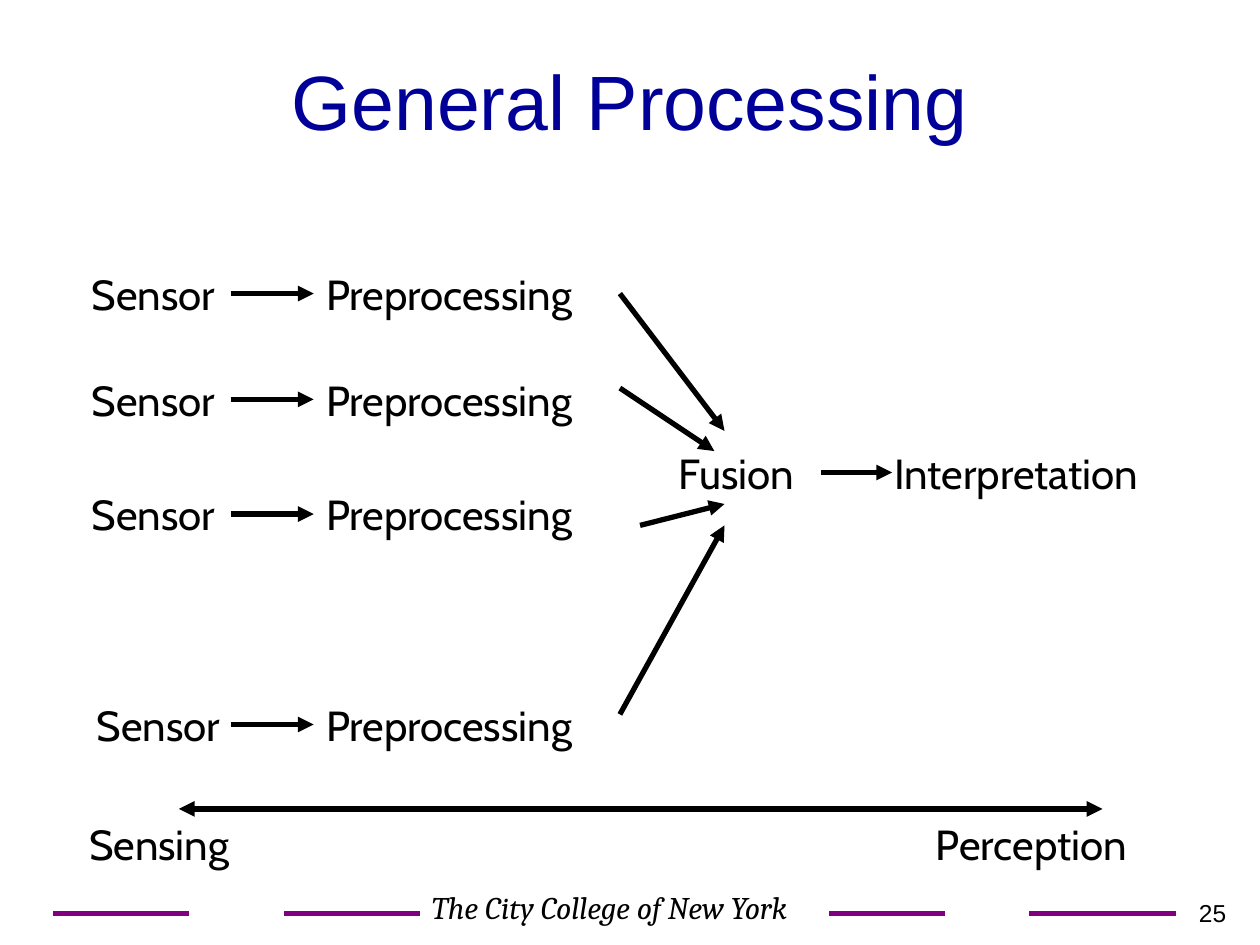
from dataclasses import dataclass
from typing import Optional

import pptx
import pptx.dml.color
import pptx.enum.shapes
import pptx.enum.text
import pptx.oxml
import pptx.oxml.ns
import pptx.util
from pptx.util import Inches

BLACK = "000000"
PURPLE = "800080"
NAVY = "000099"
LABEL_HEIGHT = 0.5
LEFT_SIDE, RIGHT_SIDE = 1, 3


@dataclass
class Label:
    text: str
    left: float
    top: float
    width: float
    height: float = LABEL_HEIGHT
    font: str = "Cabin"
    size: int = 24
    italic: bool = False
    wrap: bool = False
    space_before: float = 0
    align: str = "LEFT"


@dataclass
class Line:
    start: tuple[float, float]
    end: tuple[float, float]
    color: str = BLACK
    head: bool = False
    tail: bool = True


@dataclass
class Channel:
    top: float
    sensor_left: float
    sensor_width: float
    fusion_start: tuple[float, float]
    fusion_end: tuple[float, float]


CHANNELS = [
    Channel(2.08, 0.63, 1.27, (4.92, 2.33), (5.75, 3.42)),
    Channel(2.92, 0.63, 1.27, (4.92, 3.08), (5.67, 3.58)),
    Channel(3.83, 0.63, 1.27, (5.08, 4.17), (5.75, 4)),
    Channel(5.5, 0.67, 1.2, (4.92, 5.67), (5.75, 4.17)),
]
FOOTER_RULES = [(0.42, 1.5), (2.25, 3.33), (6.58, 7.5), (8.17, 9.33)]


def rgb(color: str) -> pptx.dml.color.RGBColor:
    return pptx.dml.color.RGBColor.from_string(color)


def style_font(para, name: str, size: int, color: str, italic: bool = False) -> None:
    para.font.name = name
    para.font.size = pptx.util.Pt(size)
    para.font.italic = italic
    para.font.color.rgb = rgb(color)


def draw_label(page, label: Label):
    box = page.shapes.add_textbox(
        Inches(label.left), Inches(label.top), Inches(label.width), Inches(label.height)
    )
    box.text_frame.word_wrap = label.wrap
    para = box.text_frame.paragraphs[0]
    para.text = label.text
    para.alignment = getattr(pptx.enum.text.PP_ALIGN, label.align)
    para.space_before = pptx.util.Pt(label.space_before)
    style_font(para, label.font, label.size, BLACK, label.italic)
    return box


def draw_line(page, line: Line, begin: Optional[tuple] = None, end: Optional[tuple] = None) -> None:
    connector = page.shapes.add_connector(
        pptx.enum.shapes.MSO_CONNECTOR.STRAIGHT, *map(Inches, line.start + line.end)
    )
    connector.line.width = pptx.util.Pt(3)
    connector.line.color.rgb = rgb(line.color)
    outline = connector.line._get_or_add_ln()
    for tag, shown in (("a:headEnd", line.head), ("a:tailEnd", line.tail)):
        if shown:
            arrowhead = pptx.oxml.parse_xml(f'<{tag} {pptx.oxml.ns.nsdecls("a")} type="triangle"/>')
            outline.append(arrowhead)
    effects = pptx.oxml.parse_xml(f'<a:effectLst {pptx.oxml.ns.nsdecls("a")}/>')
    connector._element.spPr.append(effects)
    if begin:
        connector.begin_connect(*begin)
    if end:
        connector.end_connect(*end)


def draw_title(page) -> None:
    title = page.shapes.title
    title.left, title.top, title.width, title.height = map(Inches, (0.5, 0.17, 9, 1.25))
    title.text_frame.vertical_anchor = pptx.enum.text.MSO_ANCHOR.MIDDLE
    para = title.text_frame.paragraphs[0]
    para.text = "General Processing"
    para.alignment = pptx.enum.text.PP_ALIGN.CENTER
    style_font(para, "Arial", 44, NAVY)


def draw_footer(page) -> None:
    for start, end in FOOTER_RULES:
        draw_line(page, Line((start, 7.25), (end, 7.25), PURPLE, tail=False))
    draw_label(page, Label("The City College of New York", 3.33, 7, 3.25, 0.7, "Cambria", 18,
                           italic=True, wrap=True, space_before=11.2))
    draw_label(page, Label("25", 8.75, 7.08, 1.08, 0.33, "Arial", 14, wrap=True, align="RIGHT"))


def draw_channel(page, channel: Channel) -> None:
    middle = channel.top + LABEL_HEIGHT / 2
    draw_label(page, Label("Sensor", channel.sensor_left, channel.top, channel.sensor_width))
    preprocessing = draw_label(page, Label("Preprocessing", 2.49, channel.top, 2.43))
    draw_line(page, Line((1.83, middle), (2.49, middle)), end=(preprocessing, LEFT_SIDE))
    starts_at_side = channel.fusion_start == (4.92, middle)
    draw_line(page, Line(channel.fusion_start, channel.fusion_end),
              begin=(preprocessing, RIGHT_SIDE) if starts_at_side else None)


def main() -> None:
    deck = pptx.Presentation()
    deck.slide_width, deck.slide_height = Inches(10), Inches(7.5)
    page = deck.slides.add_slide(deck.slide_layouts[5])
    draw_title(page)
    draw_footer(page)
    for channel in CHANNELS:
        draw_channel(page, channel)

    fusion = draw_label(page, Label("Fusion", 5.29, 3.5, 1.23))
    draw_label(page, Label("Interpretation", 7, 3.5, 2.41))
    draw_line(page, Line((6.52, 3.75), (7.08, 3.75)), begin=(fusion, RIGHT_SIDE))

    draw_line(page, Line((1.42, 6.42), (8.75, 6.42), head=True))
    draw_label(page, Label("Sensing", 0.61, 6.45, 1.43))
    draw_label(page, Label("Perception", 7.33, 6.45, 1.89))
    deck.save("out.pptx")


if __name__ == "__main__":
    main()
